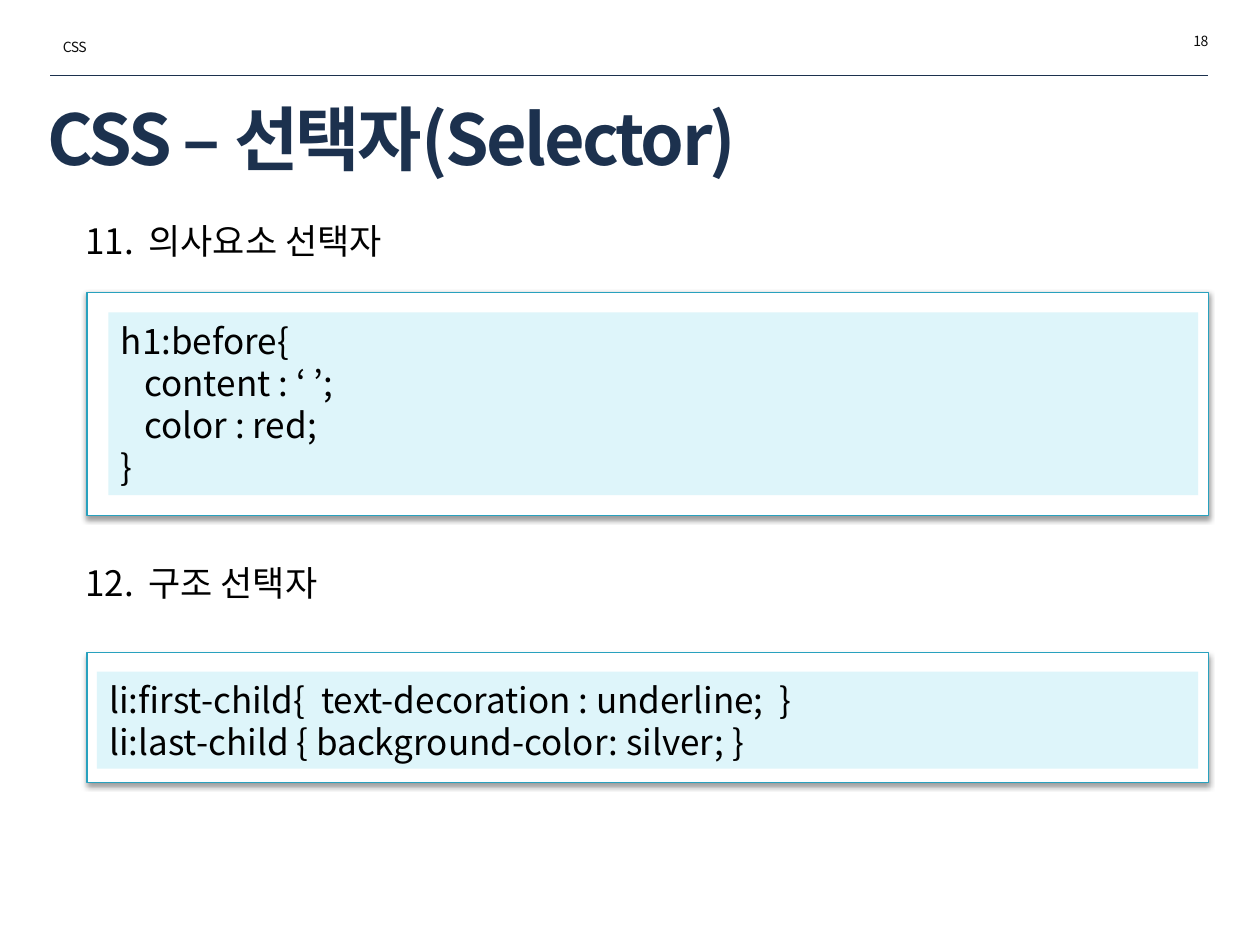
from dataclasses import dataclass

from lxml import etree
from pptx import Presentation
from pptx import util as u
from pptx.dml.color import RGBColor
from pptx.enum import shapes, text
from pptx.oxml.ns import qn


@dataclass(frozen=True)
class Theme:
    font: str = "Noto Sans CJK KR"
    navy: str = "1C314E"
    ink: str = "000000"
    small_ink: str = "0D0D0D"
    frame: str = "28A1BE"
    paper: str = "FFFFFF"
    code_fill: str = "DEF5FA"
    title: int = 40
    body: int = 20
    small: int = 8
    leading: int = 24


T = Theme()
WIDTH, HEIGHT = 10, 7.5
LEFT, RIGHT = 0.04 * WIDTH, 0.959 * WIDTH
INDENT = 0.069 * WIDTH


def rgb(value):
    return RGBColor.from_string(value)


def inches(box):
    return [u.Inches(v) for v in box]


def add_xml(parent, tag, **attrs):
    return etree.SubElement(parent, qn(tag), {k: str(v) for k, v in attrs.items()})


def style(p, size, color, bold=False, spacing=0, align=text.PP_ALIGN.LEFT):
    p.alignment = align
    f = p.font
    f.size, f.bold, f.name = u.Pt(size), bold, T.font
    f.color.rgb = rgb(color)
    add_xml(f._element, "a:ea", typeface=T.font)
    if spacing:
        f._element.set("spc", str(round(spacing * 100)))


def no_shadow(sp):
    add_xml(sp._element.spPr, "a:effectLst")


def drop_shadow(sp):
    effects = add_xml(sp._element.spPr, "a:effectLst")
    shadow = add_xml(effects, "a:outerShdw", blurRad=u.Pt(3.1), dist=u.Pt(1.6),
                     dir=90 * 60000, algn="t", rotWithShape=0)
    color = add_xml(shadow, "a:srgbClr", val=T.ink)
    add_xml(color, "a:alpha", val=38000)


def add_label(s, box, words, align):
    tf = s.shapes.add_textbox(*inches(box)).text_frame
    tf.word_wrap = True
    p = tf.paragraphs[0]
    p.text = words
    style(p, T.small, T.small_ink, spacing=-0.3, align=align)


def add_header(s, y):
    rule = s.shapes.add_connector(shapes.MSO_CONNECTOR.STRAIGHT,
                                  *inches((LEFT, y, RIGHT, y)))
    rule.line.color.rgb = rgb(T.navy)
    rule.line.width = u.Pt(0.25)
    no_shadow(rule)
    w, h = 1.73, 0.24
    add_label(s, (LEFT, y - 0.34, w, h), "CSS", text.PP_ALIGN.LEFT)
    add_label(s, (RIGHT + 0.1 - w, y - 0.39, w, h), "18", text.PP_ALIGN.RIGHT)


def add_title(s, box, words):
    sp = s.shapes.title
    sp.left, sp.top, sp.width, sp.height = inches(box)
    tf = sp.text_frame
    tf.auto_size = text.MSO_AUTO_SIZE.NONE
    tf.vertical_anchor = text.MSO_ANCHOR.MIDDLE
    p = tf.paragraphs[0]
    p.text = words
    style(p, T.title, T.navy, bold=True, spacing=-1.5)


def add_headings(s, box, first, words, pitch):
    tf = s.shapes.add_textbox(*inches(box)).text_frame
    tf.word_wrap = True
    for i, line in enumerate(words):
        p = tf.add_paragraph() if i else tf.paragraphs[0]
        p.text = line
        p.line_spacing = u.Pt(T.leading)
        if i:
            p.space_before = u.Pt(pitch * 72 - T.leading)
        pPr = p._p.get_or_add_pPr()
        pPr.set("marL", str(u.Inches(0.68)))
        pPr.set("indent", str(u.Inches(-0.5)))
        add_xml(pPr, "a:buFont", typeface="+mj-lt")
        add_xml(pPr, "a:buAutoNum", type="arabicPeriod", startAt=first)
        style(p, T.body, T.ink)


def add_panel(s, box, fill):
    sp = s.shapes.add_shape(shapes.MSO_SHAPE.RECTANGLE, *inches(box))
    sp.fill.solid()
    sp.fill.fore_color.rgb = rgb(fill)
    return sp


def add_code(s, box, pads, lines, anchor):
    x, y, w, h = box
    left, top, right, bottom = pads
    frame = add_panel(s, box, T.paper)
    frame.line.color.rgb = rgb(T.frame)
    frame.line.width = u.Pt(0.75)
    drop_shadow(frame)
    sp = add_panel(s, (x + left, y + top, w - left - right, h - top - bottom), T.code_fill)
    sp.line.fill.background()
    sp.shadow.inherit = False
    tf = sp.text_frame
    tf.word_wrap = True
    tf.vertical_anchor = anchor
    for i, line in enumerate(lines):
        p = tf.add_paragraph() if i else tf.paragraphs[0]
        p.text = line
        p.line_spacing = u.Pt(T.leading)
        style(p, T.body, T.ink)


def main():
    prs = Presentation()
    prs.slide_width, prs.slide_height = inches((WIDTH, HEIGHT))
    s = prs.slides.add_slide(prs.slide_layouts[5])
    add_header(s, 0.08 * HEIGHT)
    add_title(s, (0.28, 0.77, 9.26, 0.64), "CSS – 선택자(Selector)")
    add_headings(s, (LEFT, 1.69, 9.04, 3.49), 11,
                 ["의사요소 선택자", "구조 선택자"], pitch=2.72)
    add_code(s, (INDENT, 2.32, RIGHT - INDENT, 1.77), (0.17, 0.16, 0.08, 0.16),
             ["h1:before{", "   content : ‘ ’;", "   color : red;", "}"],
             text.MSO_ANCHOR.MIDDLE)
    add_code(s, (INDENT, 5.18, RIGHT - INDENT, 1.03), (0.08, 0.15, 0.08, 0.11),
             ["li:first-child{  text-decoration : underline;  }",
              "li:last-child { background-color: silver; }"],
             text.MSO_ANCHOR.BOTTOM)
    prs.save("out.pptx")


if __name__ == "__main__":
    main()
